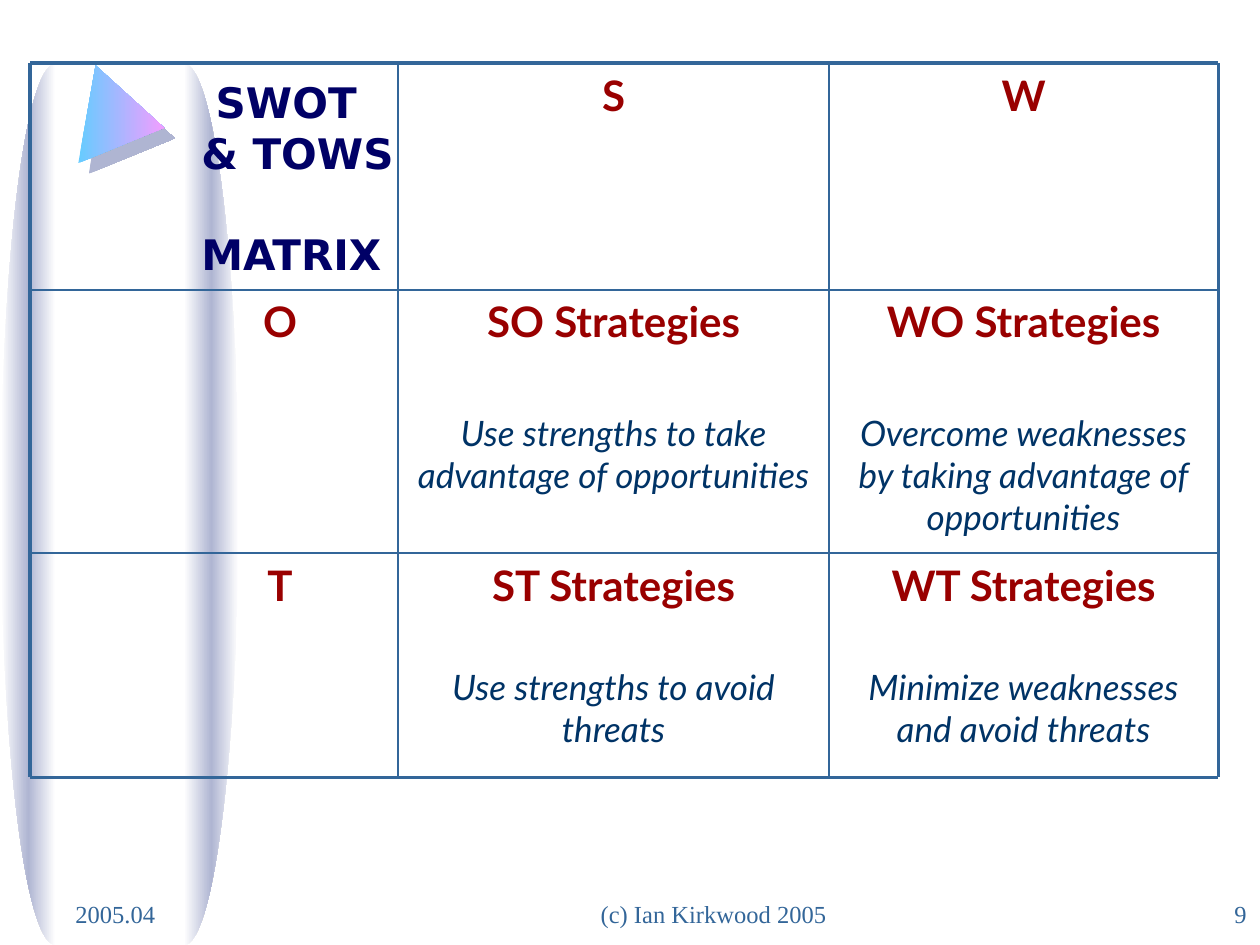
from lxml.etree import SubElement
from pptx import Presentation
from pptx.dml.color import RGBColor
from pptx.enum.shapes import MSO_CONNECTOR, MSO_SHAPE
from pptx.enum.text import MSO_ANCHOR, PP_ALIGN
from pptx.oxml.ns import qn
from pptx.util import Cm, Pt

COLORS = {
    "steel": "336699",
    "navy": "000066",
    "heading": "990000",
    "body": "003366",
    "lilac": "AFB5D2",
    "white": "FFFFFF",
    "sky": "66CCFF",
    "pink": "FF99FF",
}
COL_EDGES = [0.61, 8.03, 16.71, 24.56]
ROW_EDGES = [1.27, 5.84, 11.15, 15.67]
DESCRIPTION_GAPS = [0, 37.5, 32]
MATRIX = [
    [None, ("S", None), ("W", None)],
    [
        ("O", None),
        ("SO Strategies", "Use strengths to take advantage of opportunities"),
        ("WO Strategies", "Overcome weaknesses by taking advantage of opportunities"),
    ],
    [
        ("T", None),
        ("ST Strategies", "Use strengths to avoid threats"),
        ("WT Strategies", "Minimize weaknesses and avoid threats"),
    ],
]


def add_run(p, text, size, font, color, bold=False, italic=False):
    r = p.add_run()
    r.text = text
    r.font.size = Pt(size)
    r.font.name = font
    r.font.bold = bold
    r.font.italic = italic
    r.font.color.rgb = RGBColor.from_string(COLORS[color])


def add_color(parent, color):
    SubElement(parent, qn("a:srgbClr"), val=COLORS[color])


def set_gradient(sp, colors):
    """Fill with evenly spaced colours from left to right, whatever the rotation."""
    sp.fill.gradient()
    sp.fill.gradient_angle = 0
    grad = sp.element.spPr.find(qn("a:gradFill"))
    grad.set("rotWithShape", "0")
    stops = grad.find(qn("a:gsLst"))
    for stop in list(stops):
        stops.remove(stop)
    for i, color in enumerate(colors):
        pos = 100000 * i // (len(colors) - 1)
        add_color(SubElement(stops, qn("a:gs"), pos=str(pos)), color)


def curve_segments(sp):
    """Turn each three straight segments into one cubic curve."""
    outline = next(sp.element.iter(qn("a:path")))
    lines = outline.findall(qn("a:lnTo"))
    for i in range(0, len(lines), 3):
        curve = SubElement(outline, qn("a:cubicBezTo"))
        lines[i].addprevious(curve)
        for line in lines[i:i + 3]:
            curve.append(line[0])
            outline.remove(line)


def add_half_ellipse(s, x, radius):
    """Tall half ellipse with its flat edge at x; a negative radius bulges left."""
    middle, half_height, k = 10.17, 8.88, 0.55
    shares = [(0, -1), (k, -1), (1, -k), (1, 0), (1, k), (k, 1), (0, 1)]
    points = [(Cm(x + radius * u), Cm(middle + half_height * v)) for u, v in shares]
    builder = s.shapes.build_freeform(*points[0])
    builder.add_line_segments(points[1:], close=True)
    sp = builder.convert_to_shape()
    curve_segments(sp)
    sp.shadow.inherit = False
    sp.line.fill.background()
    set_gradient(sp, ["white", "lilac", "white"])


def add_triangle(s):
    sp = s.shapes.add_shape(
        MSO_SHAPE.ISOSCELES_TRIANGLE, Cm(1.53), Cm(1.65), Cm(2), Cm(1.58))
    sp.rotation = 100
    sp.line.fill.background()
    set_gradient(sp, ["sky", "pink"])
    sp.shadow.inherit = False
    effects = sp.element.spPr.find(qn("a:effectLst"))
    shadow = SubElement(effects, qn("a:outerShdw"), dist=str(Pt(8.5)),
                        dir="2700000", algn="ctr", rotWithShape="0")
    add_color(shadow, "lilac")


def add_text_box(s, left, top, width, height):
    tf = s.shapes.add_textbox(Cm(left), Cm(top), Cm(width), Cm(height)).text_frame
    tf.word_wrap = True
    return tf


def add_footer(s, left, width, text, align=PP_ALIGN.LEFT):
    tf = add_text_box(s, left, 17.78, width, 1.27)
    tf.vertical_anchor = MSO_ANCHOR.MIDDLE
    p = tf.paragraphs[0]
    p.alignment = align
    add_run(p, text, 14, "Times New Roman", "steel")


def fill_cell(tf, heading, description, gap):
    p = tf.paragraphs[0]
    p.alignment = PP_ALIGN.CENTER
    add_run(p, heading, 24, "Lato", "heading", bold=True)
    if description:
        p = tf.add_paragraph()
        p.alignment = PP_ALIGN.CENTER
        p.space_before = Pt(gap)
        add_run(p, description, 20, "Lato", "body", italic=True)


def add_rule(s, x1, y1, x2, y2, width):
    line = s.shapes.add_connector(
        MSO_CONNECTOR.STRAIGHT, Cm(x1), Cm(y1), Cm(x2), Cm(y2))
    line.line.color.rgb = RGBColor.from_string(COLORS["steel"])
    line.line.width = Pt(width)
    SubElement(line.element.spPr, qn("a:effectLst"))


def add_matrix(s):
    for i, row in enumerate(MATRIX):
        for j, content in enumerate(row):
            if content is None:
                continue
            left, right = COL_EDGES[j:j + 2]
            top, bottom = ROW_EDGES[i:i + 2]
            tf = add_text_box(s, left, top, right - left, bottom - top)
            if j == 0:
                tf.margin_left = Cm(2.9)
            fill_cell(tf, *content, DESCRIPTION_GAPS[i])
    left, right = COL_EDGES[0], COL_EDGES[-1]
    top, bottom = ROW_EDGES[0], ROW_EDGES[-1]
    for y in ROW_EDGES:
        add_rule(s, left, y, right, y, 2 if y in (top, bottom) else 1)
    for x in COL_EDGES:
        add_rule(s, x, top, x, bottom, 2 if x in (left, right) else 1)


def add_title(s):
    tf = add_text_box(s, 3.81, 1.42, 4.39, 3.3)
    tf.margin_right = 0
    lines = [("SWOT", 0.29, 0), ("& TOWS", 0, 0), ("MATRIX", 0, 29)]
    for i, (text, indent, gap) in enumerate(lines):
        p = tf.add_paragraph() if i else tf.paragraphs[0]
        p.space_before = Pt(gap)
        p._p.get_or_add_pPr().set("marL", str(Cm(indent)))
        add_run(p, text, 24, "DejaVu Sans", "navy", bold=True)


def main():
    prs = Presentation()
    prs.slide_width, prs.slide_height = Cm(25.4), Cm(19.05)
    s = prs.slides.add_slide(prs.slide_layouts[6])
    add_half_ellipse(s, 1.12, -1.1)
    add_half_ellipse(s, 3.71, 1.1)
    add_triangle(s)
    add_footer(s, 1.27, 5.28, "2005.04")
    add_footer(s, 11.86, 8.05, "(c) Ian Kirkwood 2005")
    add_footer(s, 20.1, 5.28, "9", PP_ALIGN.RIGHT)
    add_matrix(s)
    add_title(s)
    prs.save("out.pptx")


if __name__ == "__main__":
    main()
